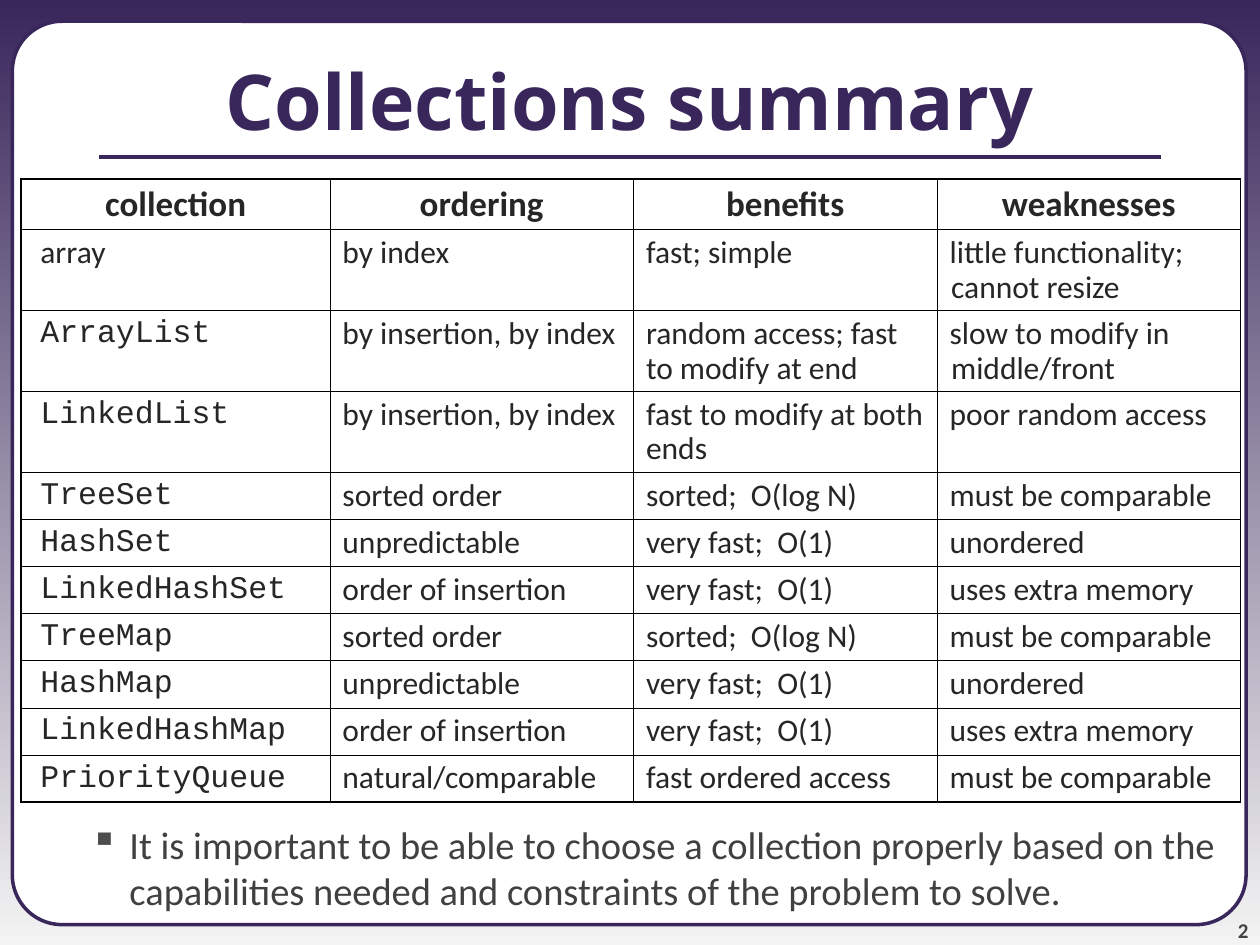
from dataclasses import dataclass
from typing import NamedTuple

from lxml.etree import SubElement
from pptx import Presentation
from pptx.dml.color import RGBColor
from pptx.enum.shapes import MSO_CONNECTOR, MSO_SHAPE
from pptx.enum.text import MSO_ANCHOR as Anchor, PP_ALIGN as Align
from pptx.oxml.ns import qn
from pptx.util import Cm, Pt


@dataclass(frozen=True)
class Theme:
    purple: str = "39275B"
    pale: str = "F3F3F3"
    white: str = "FFFFFF"
    border: str = "000000"
    table_text: str = "262626"
    body_text: str = "404040"
    bullet: str = "4D4D4D"
    number: str = "424242"
    title_font: str = "Open Sans"
    body_font: str = "Calibri"
    code_font: str = "Courier New"
    title_size: int = 44
    body_size: int = 22
    header_size: int = 20
    cell_size: int = 18
    number_size: int = 12
    outer_border: float = 1.08
    inner_border: float = 0.45


class Style(NamedTuple):
    font: str
    size: int
    color: str
    bold: bool = False
    align: Align = Align.LEFT


class Box(NamedTuple):
    left: float
    top: float
    width: float
    height: float


class Column(NamedTuple):
    heading: str
    width: float
    margin: float = 0
    indent: float = 0


class Collection(NamedTuple):
    name: str
    ordering: str
    benefits: str
    weaknesses: str
    height: float = 0.95


THEME = Theme()
TITLE = Style(THEME.title_font, THEME.title_size, THEME.purple, True, Align.CENTER)
HEADER = Style(THEME.body_font, THEME.header_size, THEME.table_text, True, Align.CENTER)
CELL = Style(THEME.body_font, THEME.cell_size, THEME.table_text)
CODE = CELL._replace(font=THEME.code_font)
BODY = Style(THEME.body_font, THEME.body_size, THEME.body_text)
NUMBER = Style(THEME.body_font, THEME.number_size, THEME.number, True, Align.RIGHT)

HEADER_HEIGHT = 1.02
TWO_LINES = 1.63
COLUMNS = [
    Column("collection", 6.22, margin=0.13),
    Column("ordering", 6.12),
    Column("benefits", 6.12),
    Column("weaknesses", 6.12, margin=0.03, indent=-0.03),
]
COLLECTIONS = [
    Collection("array", "by index", "fast; simple",
               "little functionality; cannot resize", TWO_LINES),
    Collection("ArrayList", "by insertion, by index", "random access; fast to modify at end",
               "slow to modify in middle/front", TWO_LINES),
    Collection("LinkedList", "by insertion, by index", "fast to modify at both ends",
               "poor random access", TWO_LINES),
    Collection("TreeSet", "sorted order", "sorted;  O(log N)", "must be comparable"),
    Collection("HashSet", "unpredictable", "very fast;  O(1)", "unordered"),
    Collection("LinkedHashSet", "order of insertion", "very fast;  O(1)", "uses extra memory"),
    Collection("TreeMap", "sorted order", "sorted;  O(log N)", "must be comparable"),
    Collection("HashMap", "unpredictable", "very fast;  O(1)", "unordered"),
    Collection("LinkedHashMap", "order of insertion", "very fast;  O(1)", "uses extra memory"),
    Collection("PriorityQueue", "natural/comparable", "fast ordered access",
               "must be comparable"),
]


def rgb(color: str) -> RGBColor:
    return RGBColor.from_string(color)


def write(paragraph, text: str, style: Style) -> None:
    paragraph.text = text
    paragraph.alignment = style.align
    for run in paragraph.runs:
        run.font.name = style.font
        run.font.size = Pt(style.size)
        run.font.bold = style.bold
        run.font.color.rgb = rgb(style.color)


def set_indent(paragraph, margin: float, indent: float) -> None:
    properties = paragraph._p.get_or_add_pPr()
    properties.set("marL", str(Cm(margin)))
    properties.set("indent", str(Cm(indent)))


def add_text(slide, box: Box, text: str, style: Style, anchor: Anchor = Anchor.TOP):
    shape = slide.shapes.add_textbox(*map(Cm, box))
    shape.text_frame.word_wrap = True
    shape.text_frame.vertical_anchor = anchor
    write(shape.text_frame.paragraphs[0], text, style)
    return shape.text_frame


def add_bullet(paragraph, character: str, color: str) -> None:
    properties = paragraph._p.get_or_add_pPr()
    bullet_color = SubElement(properties, qn("a:buClr"))
    SubElement(bullet_color, qn("a:srgbClr"), val=color)
    SubElement(properties, qn("a:buChar"), char=character)


def set_borders(cell, outer_sides: dict[str, bool]) -> None:
    properties = cell._tc.get_or_add_tcPr()
    for side, is_outer in outer_sides.items():
        width = THEME.outer_border if is_outer else THEME.inner_border
        line = SubElement(properties, qn(f"a:ln{side}"), w=str(Pt(width)))
        fill = SubElement(line, qn("a:solidFill"))
        SubElement(fill, qn("a:srgbClr"), val=THEME.border)


def add_collections_table(slide, left: float, top: float) -> None:
    heights = [HEADER_HEIGHT] + [item.height for item in COLLECTIONS]
    rows = [[column.heading for column in COLUMNS]] + [item[:4] for item in COLLECTIONS]
    width = sum(column.width for column in COLUMNS)
    table = slide.shapes.add_table(len(rows), len(COLUMNS), Cm(left), Cm(top),
                                   Cm(width), Cm(sum(heights))).table
    table.horz_banding = False
    for table_column, column in zip(table.columns, COLUMNS):
        table_column.width = Cm(column.width)
    for r, (texts, height) in enumerate(zip(rows, heights)):
        table.rows[r].height = Cm(height)
        for c, (text, column) in enumerate(zip(texts, COLUMNS)):
            cell = table.cell(r, c)
            # Class names are set as code; "array" is an ordinary word
            style = HEADER if r == 0 else CODE if c == 0 and r > 1 else CELL
            paragraph = cell.text_frame.paragraphs[0]
            write(paragraph, text, style)
            paragraph.line_spacing = 0.9
            if r > 0:
                set_indent(paragraph, column.margin, column.indent)
            set_borders(cell, {"L": c == 0, "R": c == len(COLUMNS) - 1,
                               "T": r == 0, "B": r == len(rows) - 1})
            cell.fill.background()


def add_backdrop(slide) -> None:
    # Gradient from dark at the top to pale at the bottom
    fill = slide.background.fill
    fill.gradient()
    fill.gradient_angle = 270
    for stop, position, color in zip(fill.gradient_stops, (0, 1), (THEME.purple, THEME.pale)):
        stop.position = position
        stop.color.rgb = rgb(color)

    # Rounded white panel
    panel = slide.shapes.add_shape(MSO_SHAPE.ROUNDED_RECTANGLE,
                                   Cm(0.25), Cm(0.43), Cm(24.87), Cm(18.21))
    panel.adjustments[0] = 0.055
    panel.shadow.inherit = False
    panel.fill.solid()
    panel.fill.fore_color.rgb = rgb(THEME.white)
    panel.line.color.rgb = rgb(THEME.purple)
    panel.line.width = Pt(2)

    # Rule under the title
    rule = slide.shapes.add_connector(MSO_CONNECTOR.STRAIGHT,
                                      Cm(2), Cm(3.17), Cm(23.4), Cm(3.17))
    rule.line.color.rgb = rgb(THEME.purple)
    rule.line.width = Pt(2.25)
    SubElement(rule._element.spPr, qn("a:effectLst"))


def main() -> None:
    presentation = Presentation()
    presentation.slide_width, presentation.slide_height = Cm(25.4), Cm(19.05)
    slide = presentation.slides.add_slide(presentation.slide_layouts[6])
    add_backdrop(slide)

    # Slide number
    number = add_text(slide, Box(23.06, 17.98, 2.11, 1.02), "2", NUMBER, Anchor.BOTTOM)
    number.margin_left = number.margin_right = number.margin_top = number.margin_bottom = 0

    # Title, table and closing remark
    add_text(slide, Box(0, 0.43, 25.4, 3.18), "Collections summary", TITLE, Anchor.MIDDLE)
    add_collections_table(slide, 0.43, 3.61)
    remark = add_text(slide, Box(0, 16.42, 25.4, 2.15),
                      "It is important to be able to choose a collection properly based on the "
                      "capabilities needed and constraints of the problem to solve.", BODY)
    set_indent(remark.paragraphs[0], 2.36, -0.79)
    add_bullet(remark.paragraphs[0], "▪", THEME.bullet)

    presentation.save("out.pptx")


if __name__ == "__main__":
    main()
